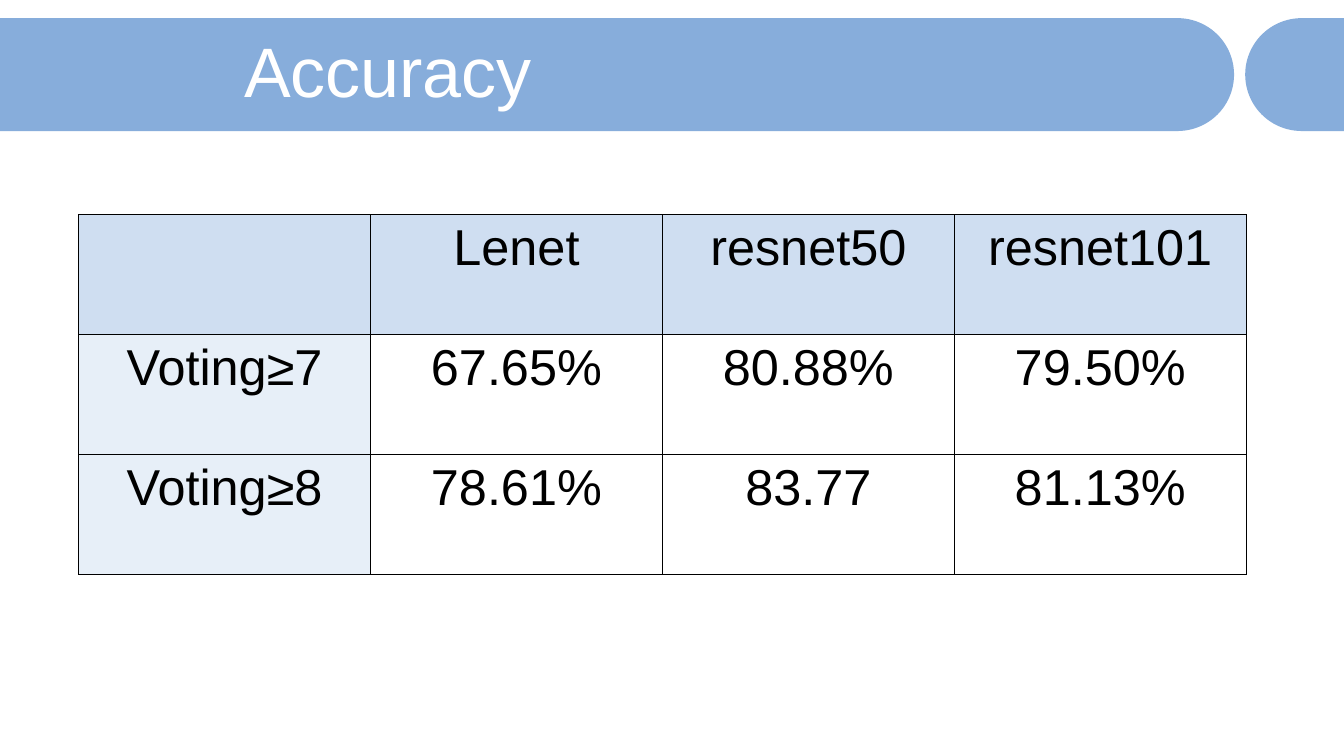
import math

import pptx
import pptx.dml.color
import pptx.enum.text
import pptx.oxml
import pptx.oxml.ns
import pptx.util

Inches = pptx.util.Inches
Pt = pptx.util.Pt
RGB = pptx.dml.color.RGBColor

BLUE = RGB(0x87, 0xAD, 0xDB)
HEAD = RGB(0xCF, 0xDE, 0xF1)
SIDE = RGB(0xE7, 0xEF, 0xF8)
WHITE = RGB(0xFF, 0xFF, 0xFF)
BLACK = RGB(0, 0, 0)
FONT = "Arial"

WIDTH = 13.33
TOP, BASE = 0.18, 1.3
ROWS = [
    ["", "Lenet", "resnet50", "resnet101"],
    ["Voting≥7", "67.65%", "80.88%", "79.50%"],
    ["Voting≥8", "78.61%", "83.77", "81.13%"],
]


def bar(slide, flat, tip):
    """Draw a band that is square at one end and round at the tip."""
    rad = (BASE - TOP) / 2
    side = 1 if tip > flat else -1
    turns = [math.pi * (i / 48 - 0.5) for i in range(49)]
    arc = [(Inches(tip + side * rad * (math.cos(t) - 1)),
            Inches(TOP + rad * (1 + math.sin(t)))) for t in turns]
    pen = slide.shapes.build_freeform(Inches(flat), Inches(TOP))
    pen.add_line_segments([*arc, (Inches(flat), Inches(BASE))], close=True)
    shape = pen.convert_to_shape()
    shape.shadow.inherit = False
    shape.fill.solid()
    shape.fill.fore_color.rgb = BLUE
    shape.line.fill.background()


def style(para, size, color):
    para.font.name = FONT
    para.font.size = Pt(size)
    para.font.color.rgb = color


def heading(slide, text):
    title = slide.shapes.title
    title.left, title.top = Inches(2.32), Inches(0.37)
    title.width, title.height = Inches(10.69), Inches(0.79)
    frame = title.text_frame
    frame.text = text
    frame.auto_size = pptx.enum.text.MSO_AUTO_SIZE.NONE
    frame.vertical_anchor = pptx.enum.text.MSO_ANCHOR.MIDDLE
    para = frame.paragraphs[0]
    para.alignment = pptx.enum.text.PP_ALIGN.LEFT
    para.line_spacing = 0.8
    style(para, 50, WHITE)
    slide.shapes._spTree.append(title._element)  # above the bars


def border(cell):
    props = cell._tc.get_or_add_tcPr()
    for edge in "LRTB":
        props.append(pptx.oxml.parse_xml(
            f'<a:ln{edge} {pptx.oxml.ns.nsdecls("a")} w="{Pt(1)}">'
            f'<a:solidFill><a:srgbClr val="{BLACK}"/></a:solidFill>'
            f'</a:ln{edge}>'))


def grid(slide, rows):
    table = slide.shapes.add_table(
        len(rows), len(rows[0]), Inches(0.78), Inches(2.13),
        Inches(11.58), Inches(3.57)).table
    table.first_row = table.horz_banding = False
    for r, row in enumerate(rows):
        for c, text in enumerate(row):
            cell = table.cell(r, c)
            cell.text = text
            para = cell.text_frame.paragraphs[0]
            para.alignment = pptx.enum.text.PP_ALIGN.CENTER
            style(para, 36, BLACK)
            border(cell)
            if r and c:
                cell.fill.background()
            else:
                cell.fill.solid()
                cell.fill.fore_color.rgb = SIDE if r else HEAD


def main():
    deck = pptx.Presentation()
    deck.slide_width, deck.slide_height = Inches(WIDTH), Inches(7.5)
    slide = deck.slides.add_slide(deck.slide_layouts[5])
    bar(slide, 0, 12.24)
    bar(slide, WIDTH, 12.35)
    heading(slide, "Accuracy")
    grid(slide, ROWS)
    deck.save("out.pptx")


if __name__ == "__main__":
    main()
